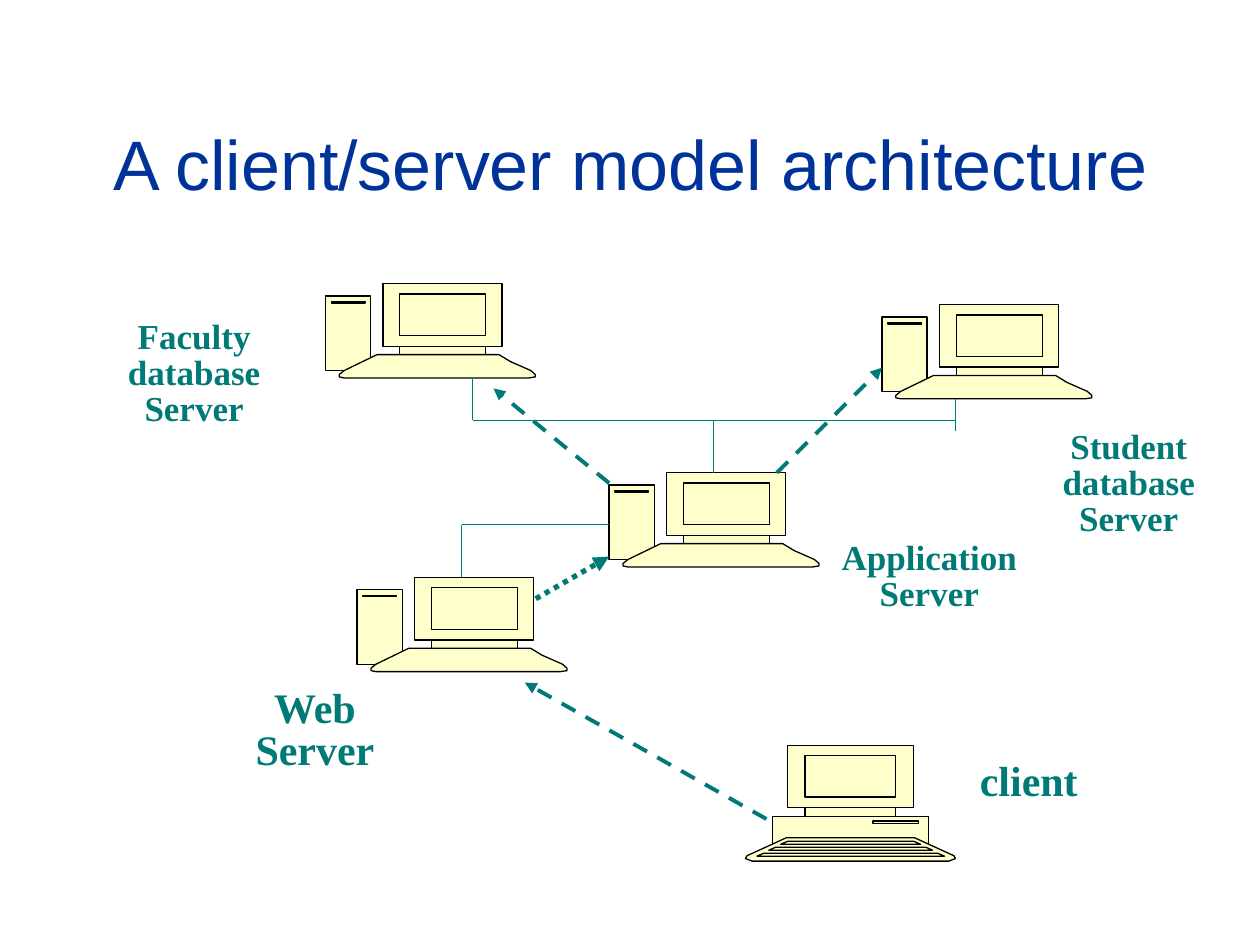
"""Build a slide of a client/server architecture with drawn computers."""
import copy
from dataclasses import dataclass

import lxml.etree
import pptx
import pptx.dml.color
import pptx.enum.dml
import pptx.enum.text
import pptx.oxml.ns
import pptx.util

Cm = pptx.util.Cm
qn = pptx.oxml.ns.qn
DASH = pptx.enum.dml.MSO_LINE


@dataclass(frozen=True)
class Theme:
    title_font: str = "Arial"
    label_font: str = "Times New Roman"
    title_color: str = "003399"
    accent: str = "007A77"
    machine_fill: str = "FFFFCC"
    outline: str = "000000"
    title_size: float = 40
    large_label: float = 24
    small_label: float = 20
    thin: float = 0.75
    request: float = 2.25
    dotted: float = 3


THEME = Theme()


def rgb(value):
    return pptx.dml.color.RGBColor.from_string(value)


def box(left, top, right, bottom):
    return [(left, top), (right, top), (right, bottom), (left, bottom)]


def key_row(half_width, bottom):
    center, slant, height = 2.12, 0.14, 0.06
    return [
        (center - half_width, bottom),
        (center - half_width + slant, bottom - height),
        (center + half_width - slant, bottom - height),
        (center + half_width, bottom),
    ]


SERVER = [
    box(0, 0.25, 0.91, 1.75),
    box(1.16, 0, 3.56, 1.26),
    box(1.5, 1.26, 3.23, 1.43),
    [(1.04, 1.43), (3.5, 1.43), (3.73, 1.57), (4.14, 1.75), (4.23, 1.83),
     (4.23, 1.88), (4.1, 1.9), (0.38, 1.9), (0.28, 1.88), (0.28, 1.83), (0.38, 1.75)],
    box(1.5, 0.21, 3.23, 1.05),
    box(0.12, 0.36, 0.8, 0.39),
]

DESKTOP = [
    box(0.54, 1.43, 3.69, 1.98),
    box(0.84, 0, 3.38, 1.25),
    box(1.2, 1.25, 3.03, 1.43),
    [(0.82, 1.86), (3.41, 1.86), (4.11, 2.18), (4.2, 2.22), (4.23, 2.28),
     (4.1, 2.33), (0.13, 2.33), (0, 2.28), (0.03, 2.22), (0.12, 2.18)],
    box(1.2, 0.2, 3.03, 1.04),
    box(2.57, 1.52, 3.48, 1.57),
    *(key_row(1.41 + 0.24 * row, 1.99 + 0.12 * row) for row in range(3)),
]


def separate_parts(machine):
    """Give every contour its own path, so that overlapping parts are all filled."""
    outlines = machine._element.spPr.find(qn("a:custGeom")).find(qn("a:pathLst"))
    combined = outlines[0]
    steps = list(combined)
    for step in steps:
        combined.remove(step)
    outlines.remove(combined)
    for step in steps:
        if step.tag == qn("a:moveTo"):
            part = copy.deepcopy(combined)
            outlines.append(part)
        part.append(step)


def add_computer(slide, left, top, parts):
    contours = [[(Cm(x), Cm(y)) for x, y in part] for part in parts]
    builder = slide.shapes.build_freeform(*contours[0][0])
    for index, (start, *rest) in enumerate(contours):
        if index:
            builder.move_to(*start)
        builder.add_line_segments(rest, close=True)
    machine = builder.convert_to_shape(Cm(left), Cm(top))
    separate_parts(machine)
    machine.shadow.inherit = False
    machine.fill.solid()
    machine.fill.fore_color.rgb = rgb(THEME.machine_fill)
    machine.line.color.rgb = rgb(THEME.outline)
    machine.line.width = pptx.util.Pt(THEME.thin)


def add_wire(slide, start, end, width=THEME.thin):
    wire = slide.shapes.add_connector(
        pptx.enum.shapes.MSO_CONNECTOR.STRAIGHT, *map(Cm, start), *map(Cm, end))
    wire.line.color.rgb = rgb(THEME.accent)
    wire.line.width = pptx.util.Pt(width)
    lxml.etree.SubElement(wire._element.spPr, qn("a:effectLst"))
    return wire


def add_request(slide, start, end, width=THEME.request, dash=DASH.DASH):
    request = add_wire(slide, start, end, width)
    request.line.dash_style = dash
    stroke = request._element.spPr.find(qn("a:ln"))
    lxml.etree.SubElement(stroke, qn("a:tailEnd"), type="triangle")


def add_text(slide, wording, area, size, font, color):
    holder = slide.shapes.add_textbox(*map(Cm, area))
    frame = holder.text_frame
    frame.word_wrap = True
    paragraph = frame.paragraphs[0]
    paragraph.text = wording
    paragraph.alignment = pptx.enum.text.PP_ALIGN.CENTER
    paragraph.font.name = font
    paragraph.font.size = pptx.util.Pt(size)
    paragraph.font.color.rgb = rgb(color)
    return frame


def add_title(slide, wording):
    frame = add_text(slide, wording, (0.85, 1.69, 23.7, 3.18),
                     THEME.title_size, THEME.title_font, THEME.title_color)
    frame.vertical_anchor = pptx.enum.text.MSO_ANCHOR.MIDDLE


def add_label(slide, wording, area, size=THEME.small_label):
    frame = add_text(slide, wording, area, size, THEME.label_font, THEME.accent)
    frame.auto_size = pptx.enum.text.MSO_AUTO_SIZE.SHAPE_TO_FIT_TEXT
    frame.paragraphs[0].font.bold = True
    frame.paragraphs[0].line_spacing = 0.85


def main():
    deck = pptx.Presentation()
    deck.slide_width, deck.slide_height = Cm(25.4), Cm(19.05)
    slide = deck.slides.add_slide(deck.slide_layouts[6])

    add_title(slide, "A client/server model architecture")

    for left, top in [(7.2, 11.64), (12.28, 9.53), (17.78, 6.14), (6.56, 5.72)]:
        add_computer(slide, left, top, SERVER)
    add_computer(slide, 15.03, 15.03, DESKTOP)

    for start, end in [
        ((9.31, 11.64), (9.31, 10.58)),
        ((9.31, 10.58), (12.28, 10.58)),
        ((9.53, 8.47), (19.26, 8.47)),
        ((14.39, 9.53), (14.39, 8.47)),
        ((19.26, 8.04), (19.26, 8.68)),
        ((9.53, 7.62), (9.53, 8.47)),
    ]:
        add_wire(slide, start, end)

    add_request(slide, (15.45, 16.51), (10.58, 13.76))
    add_request(slide, (10.8, 12.07), (12.28, 11.22), THEME.dotted, DASH.ROUND_DOT)
    add_request(slide, (15.66, 9.53), (17.78, 7.41))
    add_request(slide, (12.28, 9.74), (9.95, 7.83))

    add_label(slide, "client", (19.26, 15.24, 2.96, 1.11), THEME.large_label)
    add_label(slide, "Web Server", (4.87, 13.76, 2.96, 1.98), THEME.large_label)
    add_label(slide, "Application Server", (16.51, 10.8, 4.45, 1.69))
    add_label(slide, "Faculty database Server", (1.69, 6.35, 4.45, 2.41))
    add_label(slide, "Student database Server", (20.53, 8.57, 4.45, 2.41))

    deck.save("out.pptx")


if __name__ == "__main__":
    main()
